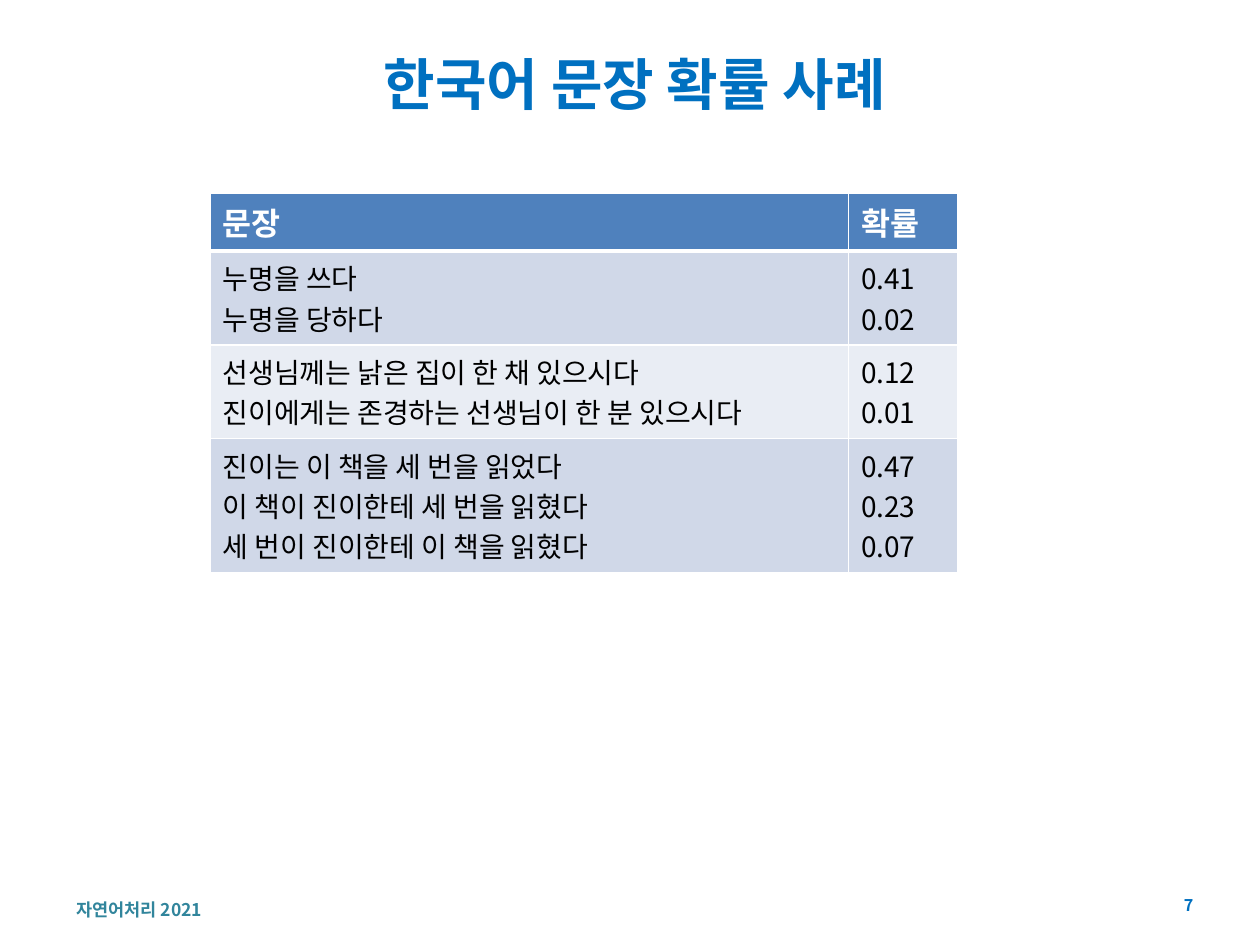
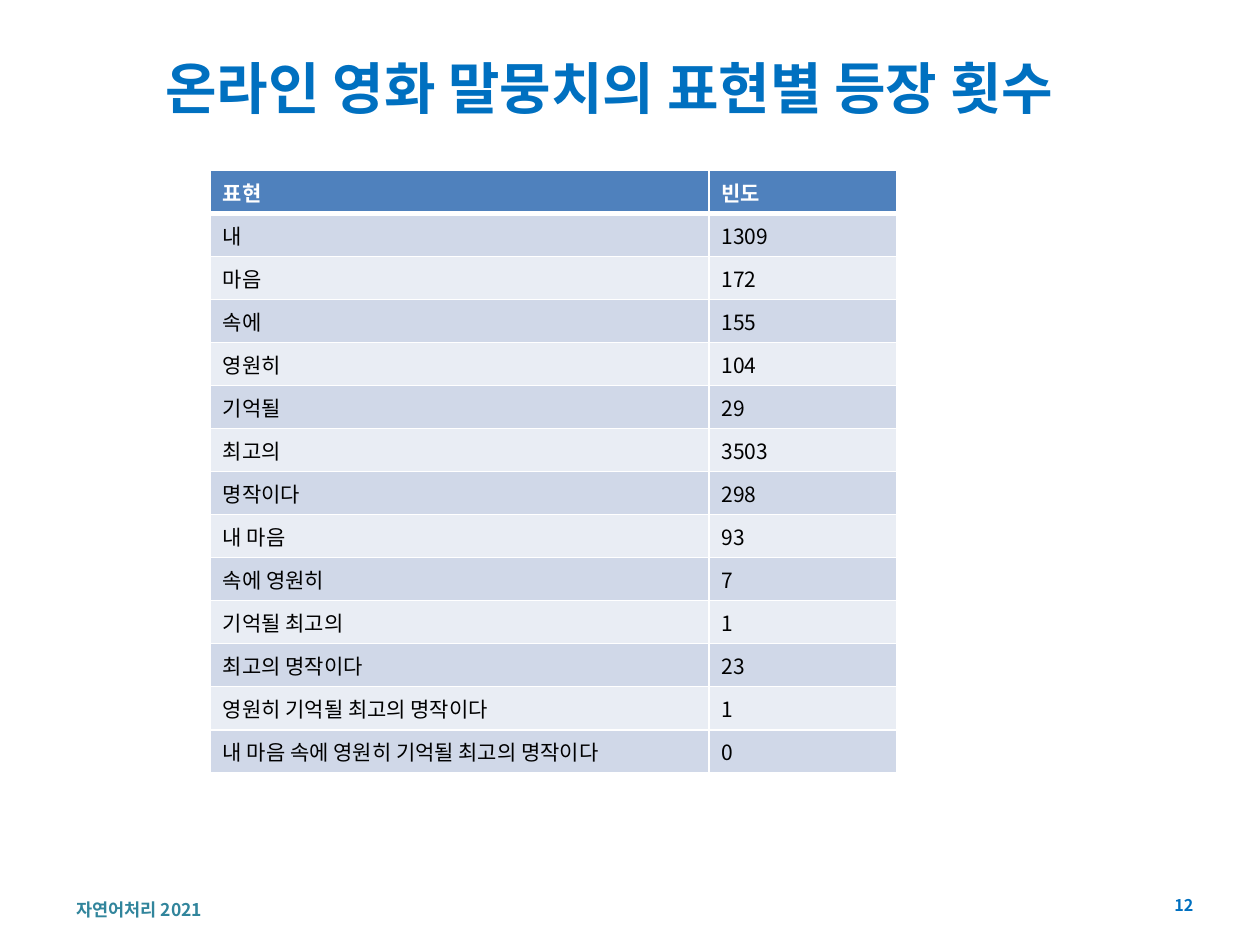
from lxml import etree
from pptx import Presentation
from pptx import util as u
from pptx.dml.color import RGBColor
from pptx.enum import text
from pptx.oxml.ns import qn

FONT = "Noto Sans CJK KR"
BLUE, TEAL, WHITE, BLACK = "0070C0", "31859C", "FFFFFF", "000000"
HEADER, BANDS = "4F81BD", ("D0D8E8", "E9EDF4")
FOOTER = "자연어처리 2021"
LINE_SPACING = 1.45
CELL_PADDING = 7.2

SENTENCES = [
    (["누명을 쓰다", "누명을 당하다"], ["0.41", "0.02"]),
    (["선생님께는 낡은 집이 한 채 있으시다",
      "진이에게는 존경하는 선생님이 한 분 있으시다"], ["0.12", "0.01"]),
    (["진이는 이 책을 세 번을 읽었다", "이 책이 진이한테 세 번을 읽혔다",
      "세 번이 진이한테 이 책을 읽혔다"], ["0.47", "0.23", "0.07"]),
]
COUNTS = [
    ("내", 1309), ("마음", 172), ("속에", 155), ("영원히", 104),
    ("기억될", 29), ("최고의", 3503), ("명작이다", 298), ("내 마음", 93),
    ("속에 영원히", 7), ("기억될 최고의", 1), ("최고의 명작이다", 23),
    ("영원히 기억될 최고의 명작이다", 1),
    ("내 마음 속에 영원히 기억될 최고의 명작이다", 0),
]


def color(value):
    return RGBColor.from_string(value)


def write(frame, lines, size, ink, bold=False, align=text.PP_ALIGN.LEFT):
    for index, line in enumerate(lines):
        paragraph = frame.paragraphs[0] if index == 0 else frame.add_paragraph()
        paragraph.alignment = align
        run = paragraph.add_run()
        run.text = line
        run.font.name = FONT
        run.font.size = u.Pt(size)
        run.font.bold = bold
        run.font.color.rgb = color(ink)
        east_asian = etree.SubElement(run.font._element, qn("a:ea"))
        east_asian.set("typeface", FONT)


def add_label(slide, box, line, size, ink, align=text.PP_ALIGN.LEFT):
    frame = slide.shapes.add_textbox(*map(u.Pt, box)).text_frame
    frame.word_wrap = True
    frame.vertical_anchor = text.MSO_ANCHOR.MIDDLE
    write(frame, [line], size, ink, True, align)


def add_page(deck, title, title_box, number):
    slide = deck.slides.add_slide(deck.slide_layouts[6])
    add_label(slide, (36.7, 514, 187.2, 11.5), FOOTER, 10, TEAL)
    add_label(slide, (649.4, 508.3, 39.6, 17.3), str(number), 9.2, BLUE,
              text.PP_ALIGN.RIGHT)
    add_label(slide, title_box, title, 32, BLUE, text.PP_ALIGN.CENTER)
    return slide


def set_borders(cell, top, bottom):
    properties = cell._tc.get_or_add_tcPr()
    for side, width in zip("LRTB", (1, 1, top, bottom)):
        line = etree.SubElement(properties, qn(f"a:ln{side}"), w=str(u.Pt(width)))
        fill = etree.SubElement(line, qn("a:solidFill"))
        etree.SubElement(fill, qn("a:srgbClr"), val=WHITE)


def add_banded_table(slide, top, widths, headings, rows, header_size, body_size):
    records = [[[heading] for heading in headings], *rows]
    sizes = [header_size] + [body_size] * len(rows)
    heights = [len(record[0]) * size * LINE_SPACING + CELL_PADDING
               for record, size in zip(records, sizes)]
    table = slide.shapes.add_table(
        len(records), len(widths), u.Pt(120.2), u.Pt(top),
        u.Pt(sum(widths)), u.Pt(sum(heights))).table
    for column, width in zip(table.columns, widths):
        column.width = u.Pt(width)
    for index, record in enumerate(records):
        table.rows[index].height = u.Pt(heights[index])
        is_header = index == 0
        for cell, lines in zip(table.rows[index].cells, record):
            set_borders(cell, 3 if index == 1 else 1, 3 if is_header else 1)
            cell.fill.solid()
            cell.fill.fore_color.rgb = color(
                HEADER if is_header else BANDS[(index - 1) % 2])
            write(cell.text_frame, lines, sizes[index],
                  WHITE if is_header else BLACK, is_header)


def main():
    deck = Presentation()
    deck.slide_width, deck.slide_height = u.Pt(720), u.Pt(540)

    probabilities = add_page(deck, "한국어 문장 확률 사례",
                             (36.7, 25.9, 652.3, 43.2), 7)
    add_banded_table(probabilities, 110.2, (364.7, 62.3), ("문장", "확률"),
                     SENTENCES, 18, 16)

    frequencies = add_page(deck, "온라인 영화 말뭉치의 표현별 등장 횟수",
                           (36.7, 28.1, 623.5, 43.2), 12)
    add_banded_table(frequencies, 97.5, (285, 107.5), ("표현", "빈도"),
                     [([phrase], [str(count)]) for phrase, count in COUNTS],
                     12, 12)

    deck.save("out.pptx")


if __name__ == "__main__":
    main()
